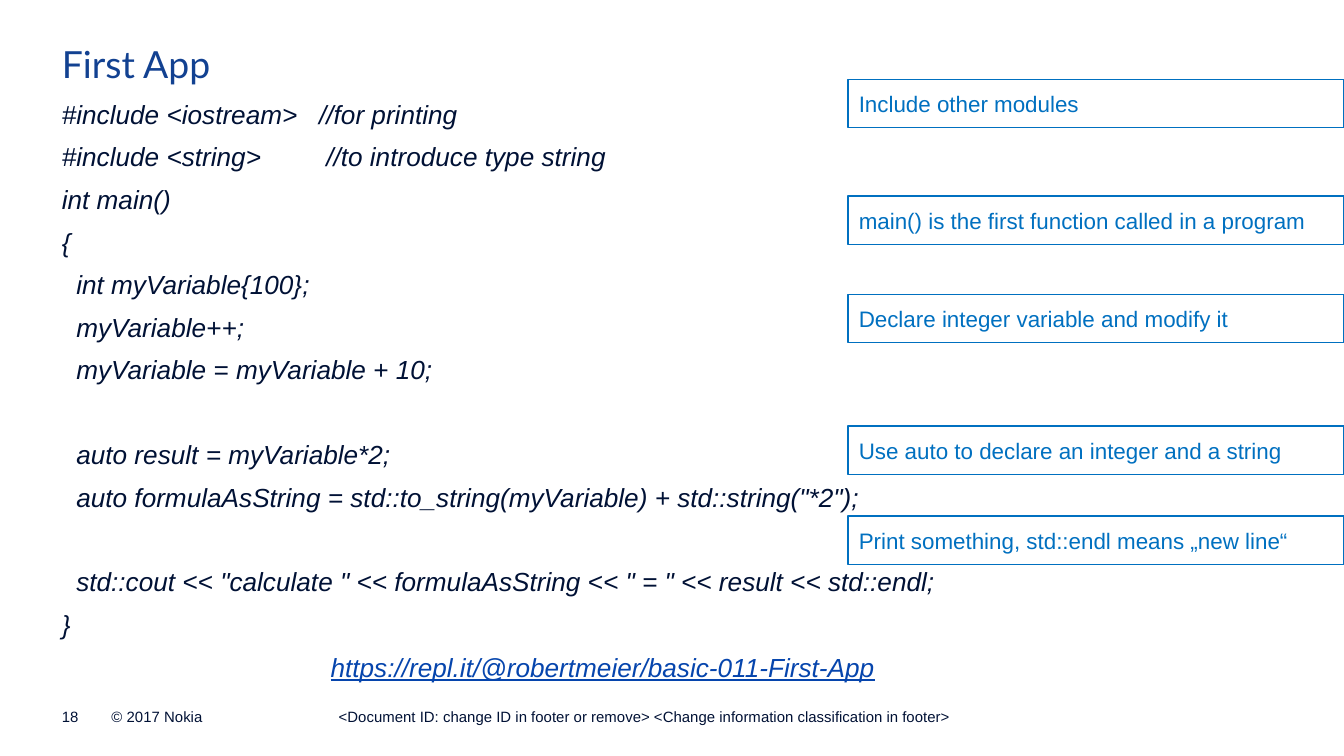
from lxml.etree import SubElement
from pptx import Presentation
from pptx.dml.color import RGBColor
from pptx.enum.shapes import MSO_SHAPE
from pptx.enum.text import MSO_ANCHOR, MSO_AUTO_SIZE, PP_ALIGN
from pptx.oxml.ns import qn
from pptx.util import Inches, Pt

TITLE_BLUE = RGBColor(0x12, 0x41, 0x91)
NAVY = RGBColor(0x00, 0x11, 0x35)
NOTE_BLUE = RGBColor(0x00, 0x70, 0xC0)
LINK_BLUE = RGBColor(0x06, 0x45, 0xAD)

LINE_GAP = 6       # points between code lines
BLANK_LINE = 22.6  # points taken by a skipped line

# Blocks of code, set apart by a skipped line
CODE_BLOCKS = [
    ["#include <iostream>   //for printing",
     "#include <string>         //to introduce type string",
     "int main()",
     "{",
     "  int myVariable{100};",
     "  myVariable++;",
     "  myVariable = myVariable + 10;"],
    ["  auto result = myVariable*2;",
     '  auto formulaAsString = std::to_string(myVariable) + std::string("*2");'],
    ['  std::cout << "calculate " << formulaAsString << " = " << result << std::endl;',
     "}"],
]
LINK = "https://repl.it/@robertmeier/basic-011-First-App"

NOTES = [
    (0.59, "Include other modules"),
    (1.46, "main() is the first function called in a program"),
    (2.19, "Declare integer variable and modify it"),
    (3.17, "Use auto to declare an integer and a string"),
    (3.84, "Print something, std::endl means „new line“"),
]

FOOTERS = [
    (0.46, 0.28, "18"),
    (0.83, 1.97, "© 2017 Nokia"),
    (2.52, 4.96, "<Document ID: change ID in footer or remove> "
                 "<Change information classification in footer>"),
]


class SlideBuilder:
    font = "Arial"
    title_font = "Lato"

    def __init__(self, slide):
        self.slide = slide

    def place(self, shape, left, top, width, height):
        shape.left, shape.top = Inches(left), Inches(top)
        shape.width, shape.height = Inches(width), Inches(height)

    def frame(self, shape, anchor, inset=0):
        tf = shape.text_frame
        tf.word_wrap = True
        tf.auto_size = MSO_AUTO_SIZE.NONE
        tf.vertical_anchor = anchor
        tf.margin_left = tf.margin_right = Inches(inset)
        tf.margin_top = tf.margin_bottom = Inches(inset)
        return tf

    def style(self, p, size, color, font=None, italic=False):
        p.alignment = PP_ALIGN.LEFT
        for r in p.runs:
            r.font.name = font or self.font
            r.font.size = Pt(size)
            r.font.italic = italic
            r.font.color.rgb = color

    def title(self, text):
        shape = self.slide.shapes.title
        self.place(shape, 0.46, 0.31, 9.09, 0.34)
        tf = self.frame(shape, MSO_ANCHOR.TOP)
        tf.text = text
        self.style(tf.paragraphs[0], 20, TITLE_BLUE, self.title_font)

    def code_line(self, p, text, indent=0, gap=LINE_GAP, color=NAVY):
        p.text = text
        p.space_before, p.space_after = Pt(0), Pt(gap)
        pPr = p._p.get_or_add_pPr()
        pPr.set("marL", str(Inches(indent)))
        pPr.set("indent", "0")
        SubElement(pPr, qn("a:buNone"))
        self.style(p, 14, color, italic=True)

    def code(self, blocks, link):
        shape = self.slide.placeholders[1]
        self.place(shape, 0.46, 0.73, 7.95, 4.44)
        tf = self.frame(shape, MSO_ANCHOR.TOP)
        p = tf.paragraphs[0]
        for block in blocks:
            for line in block:
                skip = line == block[-1] and block is not blocks[-1]
                self.code_line(p, line, gap=LINE_GAP + BLANK_LINE * skip)
                p = tf.add_paragraph()
        self.code_line(p, link, indent=2, color=LINK_BLUE)
        p.runs[0].font.underline = True

    def note(self, top, text):
        box = self.slide.shapes.add_shape(
            MSO_SHAPE.RECTANGLE, Inches(6.31), Inches(top), Inches(3.69), Inches(0.36))
        box.shadow.inherit = False
        box.fill.background()
        box.line.color.rgb = NOTE_BLUE
        box.line.width = Pt(0.75)
        tf = self.frame(box, MSO_ANCHOR.MIDDLE, 0.08)
        tf.text = text
        self.style(tf.paragraphs[0], 12, NOTE_BLUE)

    def footer(self, left, width, text):
        box = self.slide.shapes.add_textbox(
            Inches(left), Inches(5.27), Inches(width), Inches(0.13))
        tf = self.frame(box, MSO_ANCHOR.BOTTOM)
        tf.text = text
        self.style(tf.paragraphs[0], 8, NAVY)


def main():
    prs = Presentation()
    prs.slide_width = Inches(10)
    prs.slide_height = prs.slide_width * 9 // 16
    s = SlideBuilder(prs.slides.add_slide(prs.slide_layouts[1]))

    # Title and code listing
    s.title("First App")
    s.code(CODE_BLOCKS, LINK)

    # Notes beside the code
    for top, text in NOTES:
        s.note(top, text)

    # Footer line
    for left, width, text in FOOTERS:
        s.footer(left, width, text)

    prs.save("out.pptx")


if __name__ == "__main__":
    main()
